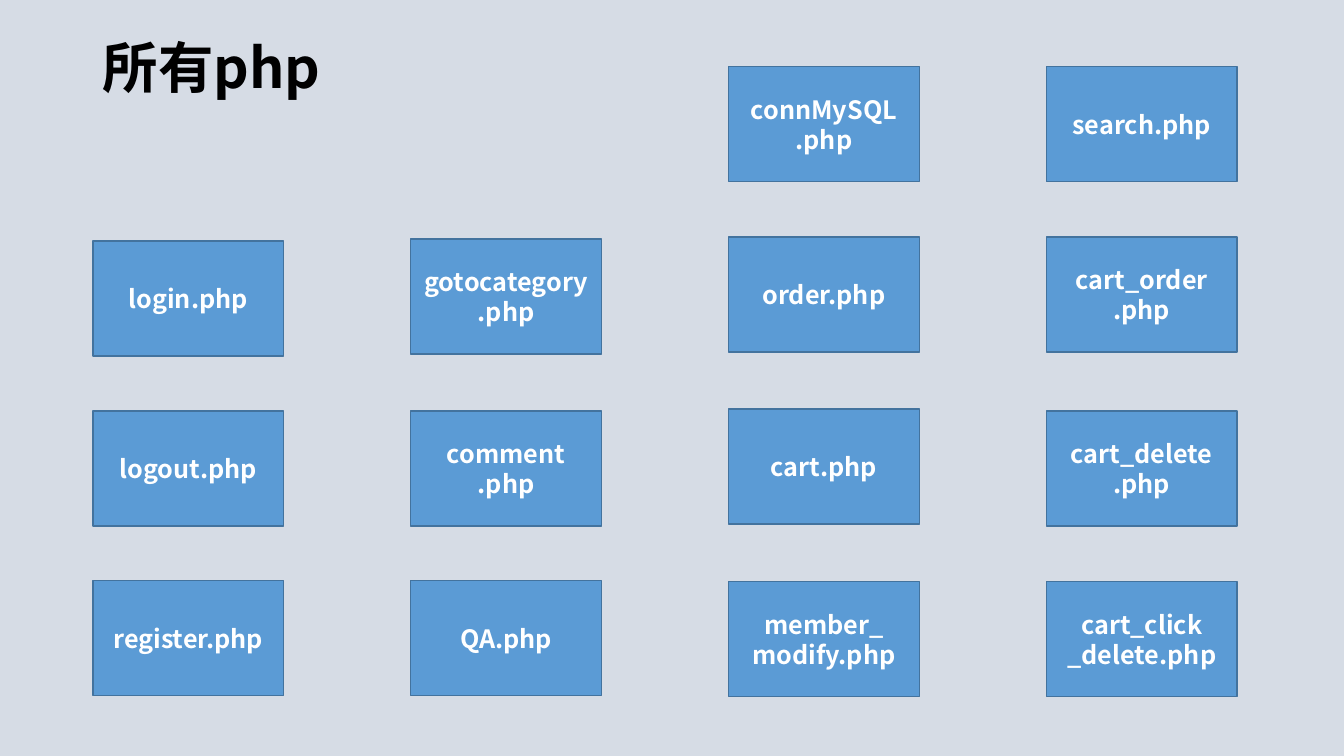
import pptx
import pptx.util
import pptx.dml.color
import pptx.enum.shapes
import pptx.enum.text
import pptx.oxml.ns
from lxml import etree

Cm, Pt = pptx.util.Cm, pptx.util.Pt
PP_ALIGN = pptx.enum.text.PP_ALIGN
MSO_ANCHOR = pptx.enum.text.MSO_ANCHOR

# Content: one list per column, each box as (top in cm, lines of text)
TITLE = "所有php"
COLUMNS = [
    [(6.07, ["login.php"]),
     (10.36, ["logout.php"]),
     (14.63, ["register.php"])],
    [(6.02, ["gotocategory", ".php"]),
     (10.36, ["comment", ".php"]),
     (14.63, ["QA.php"])],
    [(1.68, ["connMySQL", ".php"]),
     (5.97, ["order.php"]),
     (10.31, ["cart.php"]),
     (14.66, ["member_", "modify.php"])],
    [(1.68, ["search.php"]),
     (5.97, ["cart_order", ".php"]),
     (10.36, ["cart_delete", ".php"]),
     (14.66, ["cart_click", "_delete.php"])],
]

FONT = "Noto Sans CJK SC"
LEFT, COLUMN_STEP = 2.34, 8.01
BOX_W, BOX_H = 4.81, 2.9


def color(value):
    return pptx.dml.color.RGBColor.from_string(value)


def add_run(p, text, size, value):
    r = p.add_run()
    r.text = text
    r.font.size = Pt(size)
    r.font.bold = True
    r.font.name = FONT
    r.font.color.rgb = color(value)
    ea = etree.SubElement(r.font._element, pptx.oxml.ns.qn("a:ea"))
    ea.set("typeface", FONT)


def add_box(s, left, top, lines):
    sp = s.shapes.add_shape(pptx.enum.shapes.MSO_SHAPE.RECTANGLE,
                            Cm(left), Cm(top), Cm(BOX_W), Cm(BOX_H))
    sp.shadow.inherit = False
    sp.fill.solid()
    sp.fill.fore_color.rgb = color("5B9BD5")
    sp.line.color.rgb = color("43739E")
    sp.line.width = Pt(1)
    tf = sp.text_frame
    tf.word_wrap = True
    tf.vertical_anchor = MSO_ANCHOR.MIDDLE
    for i, line in enumerate(lines):
        p = tf.add_paragraph() if i else tf.paragraphs[0]
        p.alignment = PP_ALIGN.CENTER
        add_run(p, line, 18, "FFFFFF")


# Slide and background
prs = pptx.Presentation()
prs.slide_width, prs.slide_height = Cm(33.87), Cm(19.05)
s = prs.slides.add_slide(prs.slide_layouts[5])
s.background.fill.solid()
s.background.fill.fore_color.rgb = color("D6DCE5")

# Title
title = s.shapes.title
title.left, title.top = Cm(LEFT), Cm(1.02)
title.width, title.height = Cm(29.21), Cm(1.73)
tf = title.text_frame
tf.auto_size = pptx.enum.text.MSO_AUTO_SIZE.NONE
tf.word_wrap = True
tf.vertical_anchor = MSO_ANCHOR.TOP
p = tf.paragraphs[0]
p.alignment = PP_ALIGN.LEFT
p.line_spacing = 0.8
add_run(p, TITLE, 39.6, "000000")

# Boxes
for i, column in enumerate(COLUMNS):
    for top, lines in column:
        add_box(s, LEFT + i * COLUMN_STEP, top, lines)

prs.save("out.pptx")
